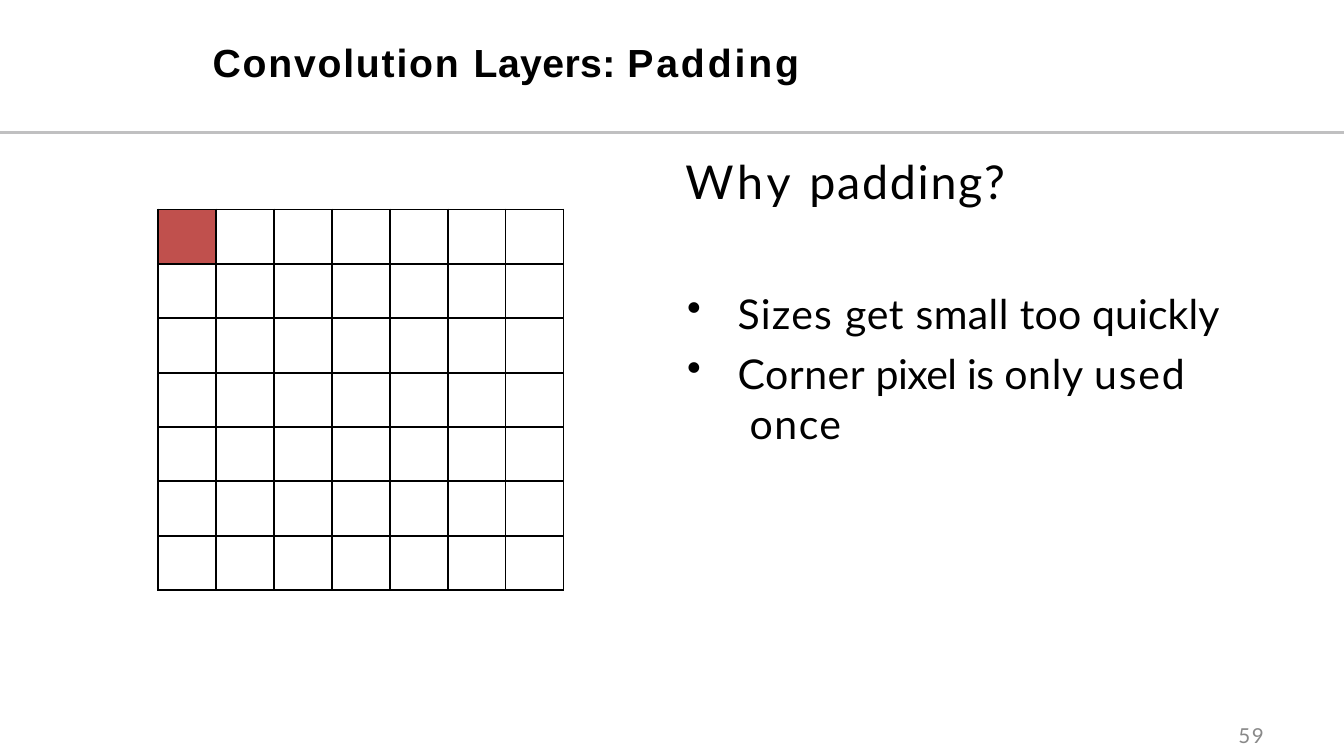
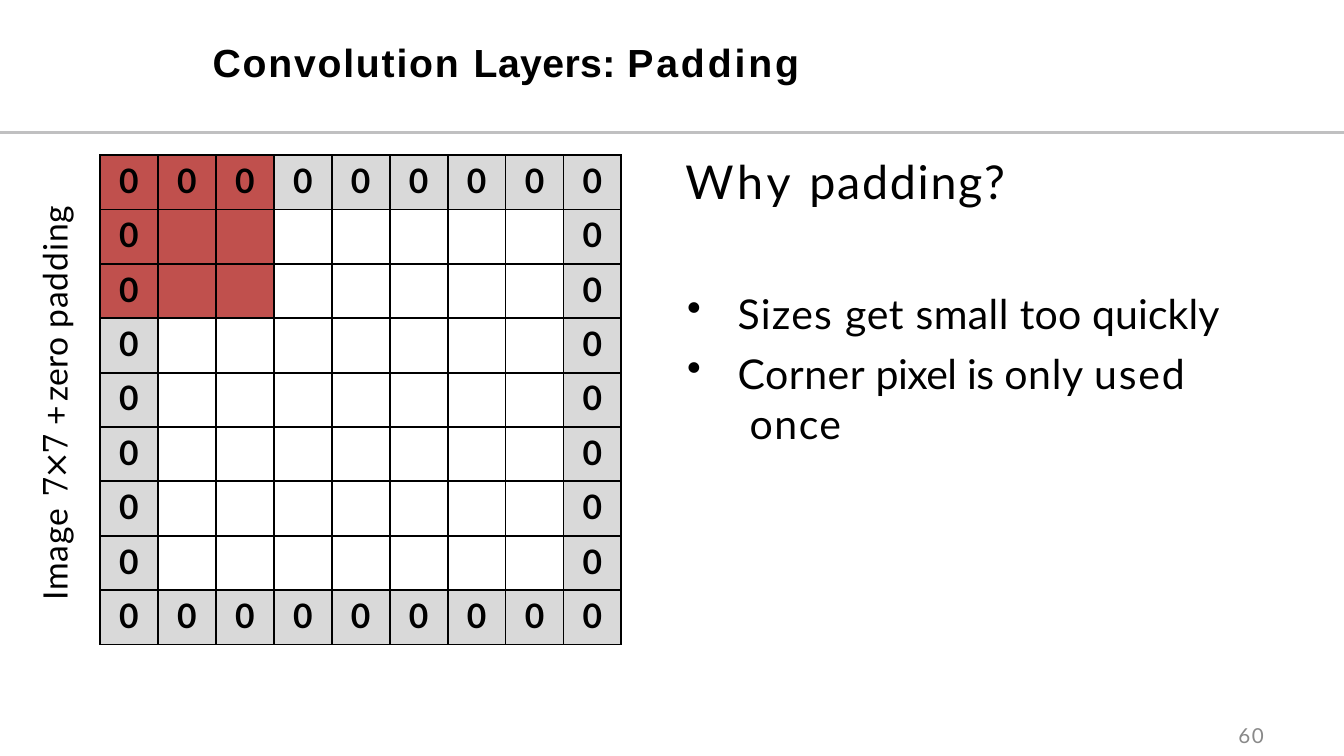
"""Build two slides on why convolution layers use padding."""
import pptx
import pptx.dml.color
import pptx.enum.shapes
import pptx.enum.text
import pptx.oxml.ns
import pptx.oxml.xmlchemy
import pptx.util

Cm, Pt = pptx.util.Cm, pptx.util.Pt
qn = pptx.oxml.ns.qn
OxmlElement = pptx.oxml.xmlchemy.OxmlElement
ALIGN = pptx.enum.text.PP_ALIGN
ANCHOR = pptx.enum.text.MSO_ANCHOR

COLORS = {"text": "000000", "page": "898989", "rule": "C0C0C1",
          "window": "C0504D", "padding": "D9D9D9"}
STYLES = {
    "title": {"name": "Arial", "size": Pt(28), "bold": True},
    "heading": {"name": "Lato", "size": Pt(33.3)},
    "bullet": {"name": "Lato", "size": Pt(29.3)},
    "label": {"name": "Lato", "size": Pt(24)},
    "math": {"name": "DejaVu Serif", "size": Pt(24)},
    "zero": {"name": "Lato", "size": Pt(24), "bold": True},
    "page": {"name": "Lato", "size": Pt(14.7)},
}

TITLE = [("Convolution ", 1.3), ("Layers: ", 0.3), ("Padding", 2.1)]
HEADING = [("Why ", 2.8), ("padding?", 1.2)]
BULLETS = [
    ([("Sizes ", 0.9), ("get ", 0.5), ("small ", 0.3), ("too quickly", 0.1)],
     {"space_before": Pt(56.7)}),
    ([("Corner ", 0.4), ("pixel ", -0.4), ("is ", -0.3), ("only ", 0.5),
      ("used", 1.3), ("\n", 0), (" once", 1.1)],
     {"space_before": Pt(6.4), "line_spacing": 1.03}),
]
LABEL = [("Image ", 0.7), ("7×7 ", -2.3, "math"), ("+ ", -2.7),
         ("zero ", 0.2), ("padding", 0.6)]
SLIDES = [
    {"page": "59", "pad": 0, "window": 1, "label": None},
    {"page": "60", "pad": 1, "window": 3, "label": LABEL},
]

SLIDE_W, SLIDE_H = Cm(33.87), Cm(19.05)
RULE_Y = Cm(3.33)
IMAGE_SIZE = 7
IMAGE_LEFT, IMAGE_TOP = Cm(3.98), Cm(5.28)
CELL_W, CELL_H = Cm(1.46), Cm(1.37)
BULLET_INDENT, BULLET_HANG = Cm(1.32), Cm(1.27)


def rgb(name):
    return pptx.dml.color.RGBColor.from_string(COLORS[name])


def set_all(target, values):
    for name, value in values.items():
        setattr(target, name, value)


def add_runs(p, runs, style, color="text"):
    for text, spacing, *other in runs:
        if text == "\n":
            p.add_line_break()
            continue
        r = p.add_run()
        r.text = text
        set_all(r.font, STYLES[other[0] if other else style])
        r.font.color.rgb = rgb(color)
        r.font._element.set("spc", str(round(spacing * 100)))


def add_box(s, left, top, width, height, **values):
    tf = s.shapes.add_textbox(Cm(left), Cm(top), Cm(width), Cm(height)).text_frame
    set_all(tf, {"word_wrap": True, "margin_left": Cm(0.05), "margin_right": 0,
                 "margin_top": Cm(0.05), "margin_bottom": 0, **values})
    return tf


def add_frame(s, page):
    rule = s.shapes.add_connector(pptx.enum.shapes.MSO_CONNECTOR.STRAIGHT,
                                  0, RULE_Y, SLIDE_W, RULE_Y)
    rule.line.color.rgb = rgb("rule")
    rule.line.width = Pt(2.25)
    rule._element.spPr.append(OxmlElement("a:effectLst"))
    tf = add_box(s, 5.31, 0.91, 23.22, 1.24, vertical_anchor=ANCHOR.MIDDLE)
    add_runs(tf.paragraphs[0], TITLE, "title")
    tf = add_box(s, 31.06, 18.16, 0.91, 0.64, margin_left=Cm(0.15))
    add_runs(tf.paragraphs[0], [(page, 1.1)], "page", "page")


def add_reasons(s):
    tf = add_box(s, 17.22, 3.81, 13.79, 7.47)
    add_runs(tf.paragraphs[0], HEADING, "heading")
    for runs, values in BULLETS:
        p = tf.add_paragraph()
        set_all(p, values)
        pPr = p._p.get_or_add_pPr()
        pPr.set("marL", str(BULLET_INDENT))
        pPr.set("indent", str(-BULLET_HANG))
        bullet = OxmlElement("a:buChar")
        bullet.set("char", "•")
        pPr.append(bullet)
        add_runs(p, runs, "bullet")


def add_borders(cell):
    for side in ("lnL", "lnR", "lnT", "lnB"):
        ln = OxmlElement("a:" + side)
        ln.set("w", str(Pt(1.5)))
        fill = OxmlElement("a:solidFill")
        color = OxmlElement("a:srgbClr")
        color.set("val", COLORS["text"])
        fill.append(color)
        ln.append(fill)
        cell._tc.get_or_add_tcPr().append(ln)


def add_grid(s, pad, window):
    n = IMAGE_SIZE + 2 * pad
    table = s.shapes.add_table(n, n, IMAGE_LEFT - pad * CELL_W,
                               IMAGE_TOP - pad * CELL_H,
                               n * CELL_W, n * CELL_H).table
    set_all(table, {"first_row": False, "horz_banding": False})
    for column in table.columns:
        column.width = CELL_W
    for i, row in enumerate(table.rows):
        row.height = CELL_H
        for j, cell in enumerate(row.cells):
            padded = min(i, j) < pad or max(i, j) >= n - pad
            set_all(cell, {"margin_left": 0, "margin_right": 0,
                           "margin_top": Cm(0.13), "margin_bottom": 0})
            add_borders(cell)
            if max(i, j) < window or padded:
                cell.fill.solid()
                cell.fill.fore_color.rgb = rgb(
                    "window" if max(i, j) < window else "padding")
            else:
                cell.fill.background()
            if padded:
                p = cell.text_frame.paragraphs[0]
                p.alignment = ALIGN.CENTER
                add_runs(p, [("0", 0)], "zero")


def add_label(s, runs):
    tf = add_box(s, 0.86, 5.03, 1.02, 10.11, margin_left=0, margin_top=0)
    tf._txBody.find(qn("a:bodyPr")).set("vert", "vert270")
    add_runs(tf.paragraphs[0], runs, "label")


def main():
    prs = pptx.Presentation()
    set_all(prs, {"slide_width": SLIDE_W, "slide_height": SLIDE_H})
    for content in SLIDES:
        s = prs.slides.add_slide(prs.slide_layouts[6])
        add_frame(s, content["page"])
        add_grid(s, content["pad"], content["window"])
        add_reasons(s)
        if content["label"]:
            add_label(s, content["label"])
    prs.save("out.pptx")


if __name__ == "__main__":
    main()
